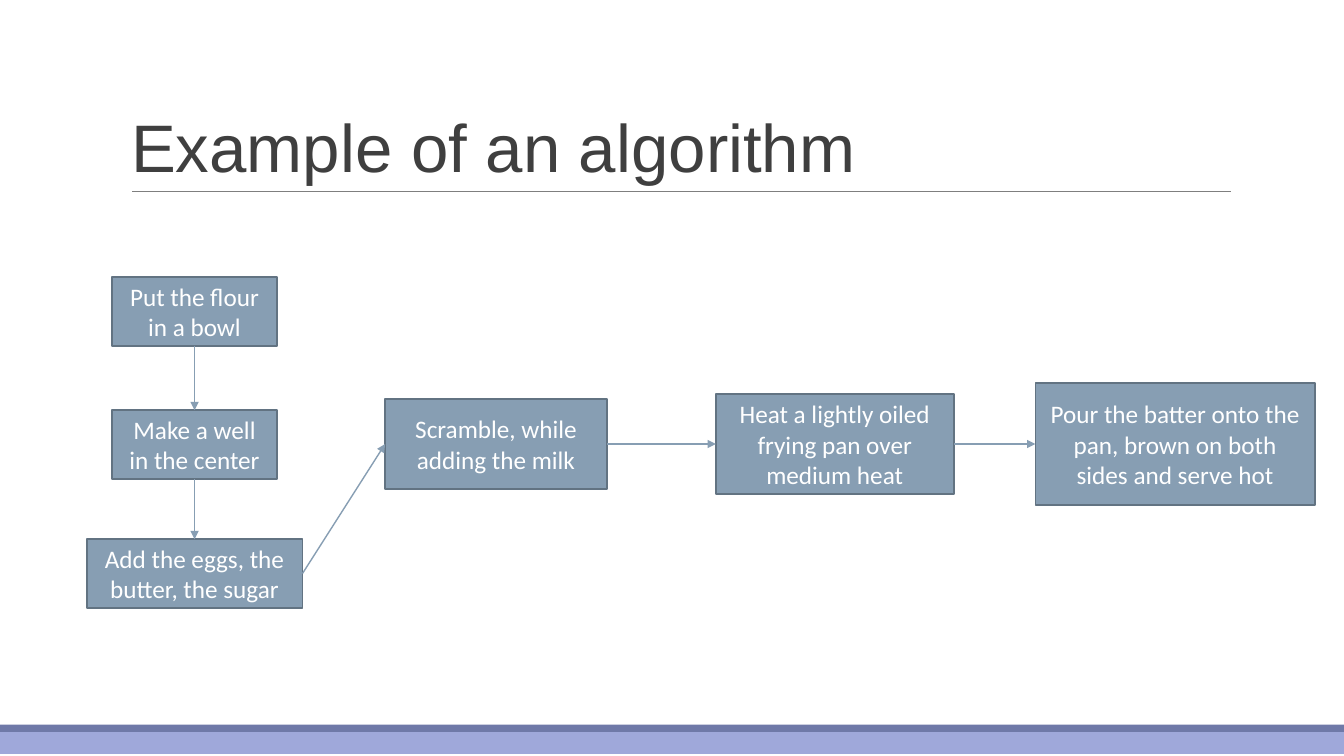
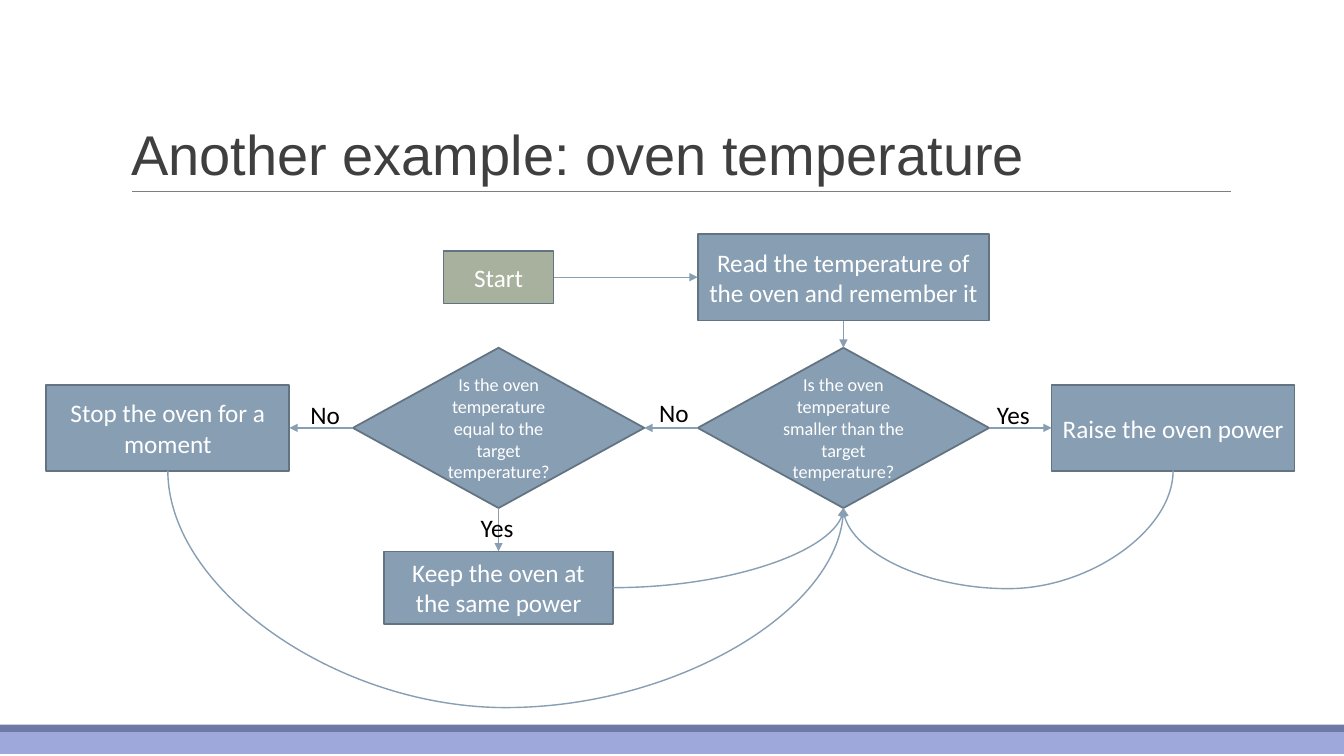
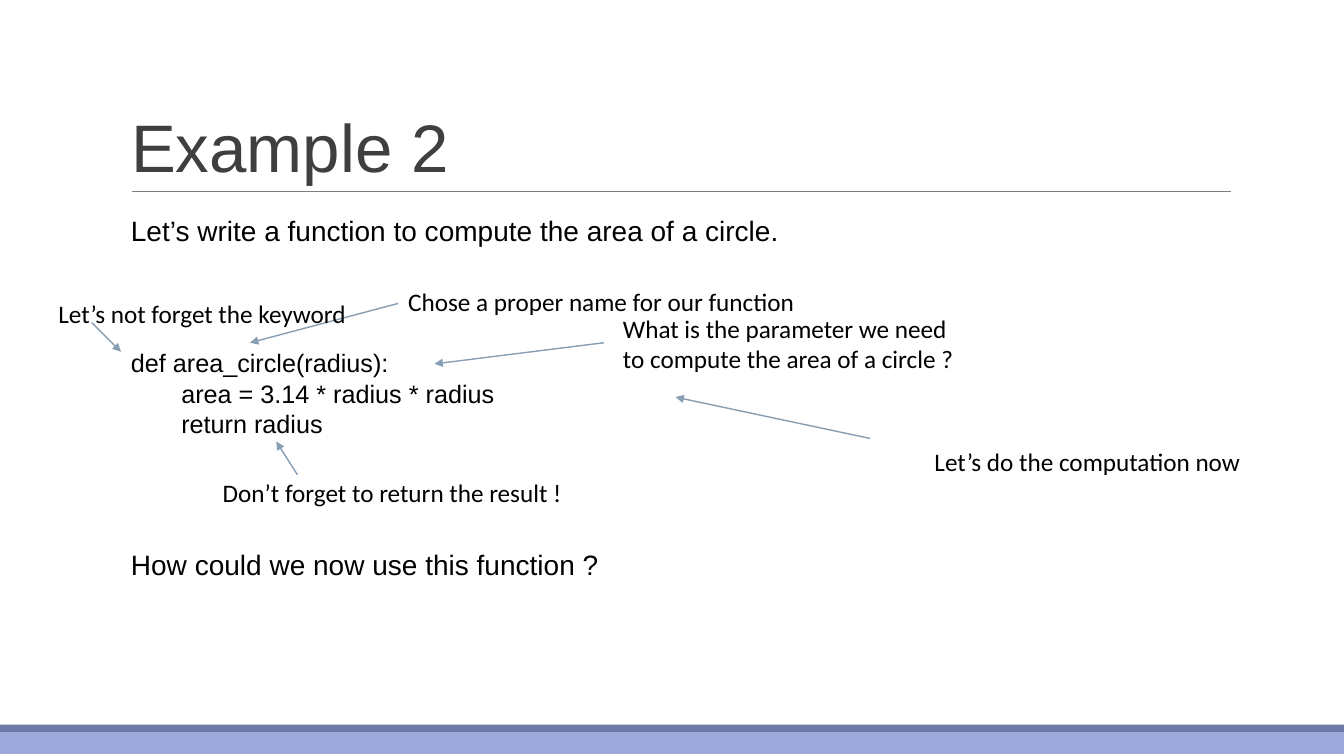
from lxml.etree import SubElement
from pptx import Presentation
from pptx.dml.color import RGBColor
from pptx.enum.shapes import MSO_CONNECTOR, MSO_SHAPE
from pptx.enum.text import MSO_ANCHOR, MSO_AUTO_SIZE, PP_ALIGN
from pptx.oxml import parse_xml
from pptx.oxml.ns import nsdecls, qn
from pptx.util import Inches, Pt

WHITE = RGBColor(0xFF, 0xFF, 0xFF)
BLACK = RGBColor(0x00, 0x00, 0x00)
TITLE_GREY = RGBColor(0x3F, 0x3F, 0x3F)
RULE_GREY = RGBColor(0x7F, 0x7F, 0x7F)
LAVENDER = RGBColor(0x9F, 0xA8, 0xDA)
PURPLE = RGBColor(0x6F, 0x79, 0xA8)
STEEL = RGBColor(0x87, 0x9E, 0xB3)
OUTLINE = RGBColor(0x62, 0x73, 0x82)
SAGE = RGBColor(0x94, 0xA0, 0x88)

PROCESS = MSO_SHAPE.FLOWCHART_PROCESS
DECISION = MSO_SHAPE.FLOWCHART_DECISION
TOP, LEFT, BOTTOM, RIGHT = range(4)


def add_text(page, text, at, *, preset=None, fill=STEEL, border=1.25,
             size=18, font="Calibri", wrap=True):
    """Add a text box, or a filled shape with centred text if a preset is given."""
    place = [Inches(value) for value in at]
    if preset is None:
        box = page.shapes.add_textbox(*place)
    else:
        box = page.shapes.add_shape(preset, *place)
        box.shadow.inherit = False
        box.fill.solid()
        box.fill.fore_color.rgb = fill
        box.line.color.rgb = OUTLINE
        box.line.width = Pt(border)
        box.text_frame.vertical_anchor = MSO_ANCHOR.MIDDLE
    frame = box.text_frame
    frame.word_wrap = wrap
    frame.text = text
    for para in frame.paragraphs:
        para.alignment = PP_ALIGN.CENTER if preset else PP_ALIGN.LEFT
        for span in para.runs:
            span.font.name = font
            span.font.size = Pt(size)
            span.font.color.rgb = WHITE if preset else BLACK
    return box


def add_line(page, start, end, *, kind=MSO_CONNECTOR.STRAIGHT, color=STEEL,
             width=1, arrow=True):
    """Draw a line; each end is a point (x, y) or a pair (shape, side)."""
    line = page.shapes.add_connector(kind, 0, 0, 0, 0)
    if isinstance(start[0], (int, float)):
        line.begin_x, line.begin_y = Inches(start[0]), Inches(start[1])
        line.end_x, line.end_y = Inches(end[0]), Inches(end[1])
    else:
        line.begin_connect(*start)
        line.end_connect(*end)
    line.line.color.rgb = color
    line.line.width = Pt(width)
    properties = line.element.spPr
    if arrow:
        SubElement(properties.find(qn("a:ln")), qn("a:tailEnd"), type="triangle")
    SubElement(properties, qn("a:effectLst"))
    return line


deck = Presentation()
deck.slide_width, deck.slide_height = Inches(13.33), Inches(7.5)

# Shared layout: title style, bands and rule
layout = deck.slide_layouts.get_by_name("Title Only")
layout_title, *footers = layout.placeholders
for footer in footers:
    footer.element.getparent().remove(footer.element)
layout_title.left, layout_title.top = Inches(1.2), Inches(0.31)
layout_title.width, layout_title.height = Inches(11), Inches(1.59)
layout_title.text_frame.vertical_anchor = MSO_ANCHOR.BOTTOM
layout_title.text_frame.auto_size = MSO_AUTO_SIZE.NONE
layout_title.element.txBody.find(qn("a:lstStyle")).append(parse_xml(
    f'<a:lvl1pPr {nsdecls("a")} algn="l"><a:lnSpc><a:spcPct val="85000"/></a:lnSpc>'
    f'<a:defRPr sz="4800"><a:solidFill><a:srgbClr val="{TITLE_GREY}"/></a:solidFill>'
    '<a:latin typeface="Arial"/></a:defRPr></a:lvl1pPr>'))

pages = []
for heading in ("Example of an algorithm", "Another example: oven temperature",
                "Example 2"):
    page = deck.slides.add_slide(layout)
    page.shapes.title.text = heading
    pages.append(page)
recipe, oven, circle = pages
oven.shapes.title.text_frame.paragraphs[0].runs[0].font.size = Pt(40)

# The layout has no drawing methods, so its parts are drawn on a page and moved
for top, height, color in ((7.25, 0.23, LAVENDER), (7.19, 0.07, PURPLE)):
    band = recipe.shapes.add_shape(MSO_SHAPE.RECTANGLE, 0, Inches(top),
                                   deck.slide_width, Inches(height))
    band.shadow.inherit = False
    band.fill.solid()
    band.fill.fore_color.rgb = color
    band.line.fill.background()
    layout.shapes.element.append(band.element)
rule = add_line(recipe, (1.31, 1.9), (12.21, 1.9), color=RULE_GREY, width=0.75,
                arrow=False)
layout.shapes.element.append(rule.element)

# Recipe steps
steps = [add_text(recipe, text, at, preset=PROCESS) for text, at in (
    ("Put the flour in a bowl", (1.11, 2.75, 1.64, 0.68)),
    ("Make a well in the center", (1.11, 4.07, 1.64, 0.68)),
    ("Add the eggs, the butter, the sugar", (0.86, 5.35, 2.14, 0.68)),
    ("Scramble, while adding the milk", (3.82, 3.96, 2.2, 0.89)),
    ("Heat a lightly oiled frying pan over medium heat", (7.1, 3.91, 2.36, 0.99)),
    ("Pour the batter onto the pan, brown on both sides and serve hot",
     (10.27, 3.8, 2.77, 1.21)),
)]
for number, (step, following) in enumerate(zip(steps, steps[1:])):
    sides = (BOTTOM, TOP) if number < 2 else (RIGHT, LEFT)
    add_line(recipe, (step, sides[0]), (following, sides[1]))

# Oven flowchart
start = add_text(oven, "Start", (4.4, 2.49, 1.09, 0.52), preset=PROCESS,
                 fill=SAGE, border=0.75)
start_color = start.element.spPr.find(qn("a:solidFill"))[0]
SubElement(start_color, qn("a:alpha"), val="82000")
read, stop, raise_power, keep = [
    add_text(oven, text, at, preset=PROCESS) for text, at in (
        ("Read the temperature of the oven and remember it", (6.92, 2.32, 2.89, 0.86)),
        ("Stop the oven for a moment", (0.46, 3.82, 2.41, 0.85)),
        ("Raise the oven power", (10.43, 3.82, 2.41, 0.85)),
        ("Keep the oven at the same power", (3.81, 5.47, 2.27, 0.72)),
    )]
equal, smaller = [
    add_text(oven, f"Is the oven temperature {test} the target temperature?",
             (left, 3.45, 2.89, 1.59), preset=DECISION, size=13)
    for test, left in (("equal to", 3.5), ("smaller than", 6.92))]
for begin, begin_side, end, end_side in (
    (start, RIGHT, read, LEFT),
    (read, BOTTOM, smaller, TOP),
    (smaller, RIGHT, raise_power, LEFT),
    (smaller, LEFT, equal, RIGHT),
    (equal, LEFT, stop, RIGHT),
    (equal, BOTTOM, keep, TOP),
):
    add_line(oven, (begin, begin_side), (end, end_side))

bend = add_line(oven, (keep, RIGHT), (smaller, BOTTOM), kind=MSO_CONNECTOR.CURVE)
bend.element.spPr.find(qn("a:prstGeom")).set("prst", "curvedConnector2")

# Loops back: a quarter-turned curve that dips below both of its ends
for node, dip in ((stop, 2.35), (raise_power, 1.17)):
    loop = add_line(oven, (node, BOTTOM), (smaller, BOTTOM), kind=MSO_CONNECTOR.CURVE)
    across, down = loop.end_x - loop.begin_x, loop.end_y - loop.begin_y
    middle_x = (loop.begin_x + loop.end_x) // 2
    middle_y = (loop.begin_y + loop.end_y) // 2
    loop.width, loop.height = abs(down), abs(across)
    loop.left, loop.top = middle_x - loop.width // 2, middle_y - loop.height // 2
    frame = loop.element.spPr.find(qn("a:xfrm"))
    frame.set("rot", str((270 if across > 0 else 90) * 60000))
    frame.set("flipH", "1" if across > 0 else "0")
    guides = loop.element.spPr.find(qn("a:prstGeom")).find(qn("a:avLst"))
    SubElement(guides, qn("a:gd"), name="adj1",
               fmla=f"val {round(Inches(dip) / abs(down) * 100000)}")

for answer, left, top, width in (
    ("Yes", 9.79, 3.91, 0.53),
    ("Yes", 4.67, 5.03, 0.53),
    ("No", 6.44, 3.89, 0.5),
    ("No", 2.98, 3.91, 0.5),
):
    add_text(oven, answer, (left, top, width, 0.4), wrap=False)

# Function with its remarks
add_text(circle, "Let’s write a function to compute the area of a circle.",
         (1.2, 2.07, 9, 0.44), size=20, font="Arial")
add_text(circle,
         "def area_circle(radius):\n\tarea = 3.14 * radius * radius\n\treturn radius",
         (1.2, 3.4, 6.67, 1.31), font="Arial")
add_text(circle, "How could we now use this function ?",
         (1.2, 5.38, 6.22, 0.44), size=20, font="Arial")
for remark, at, tail, head in (
    ("Chose a proper name for our function", (3.95, 2.79, 4.08, 0.4),
     (3.95, 3.01), (2.48, 3.4)),
    ("Let’s not forget the keyword", (0.48, 2.91, 3.09, 0.4),
     (0.91, 3.2), (1.2, 3.49)),
    ("What is the parameter we need to compute the area of a circle ?",
     (6.08, 3.06, 3.58, 0.71), (5.99, 3.4), (4.31, 3.61)),
    ("Let’s do the computation now", (9.17, 4.38, 3.27, 0.4),
     (8.63, 4.35), (6.7, 3.94)),
    ("Don’t forget to return the result !", (2.11, 4.69, 3.61, 0.4),
     (2.95, 4.71), (2.74, 4.38)),
):
    add_line(circle, tail, head)
    add_text(circle, remark, at)

deck.save("out.pptx")
